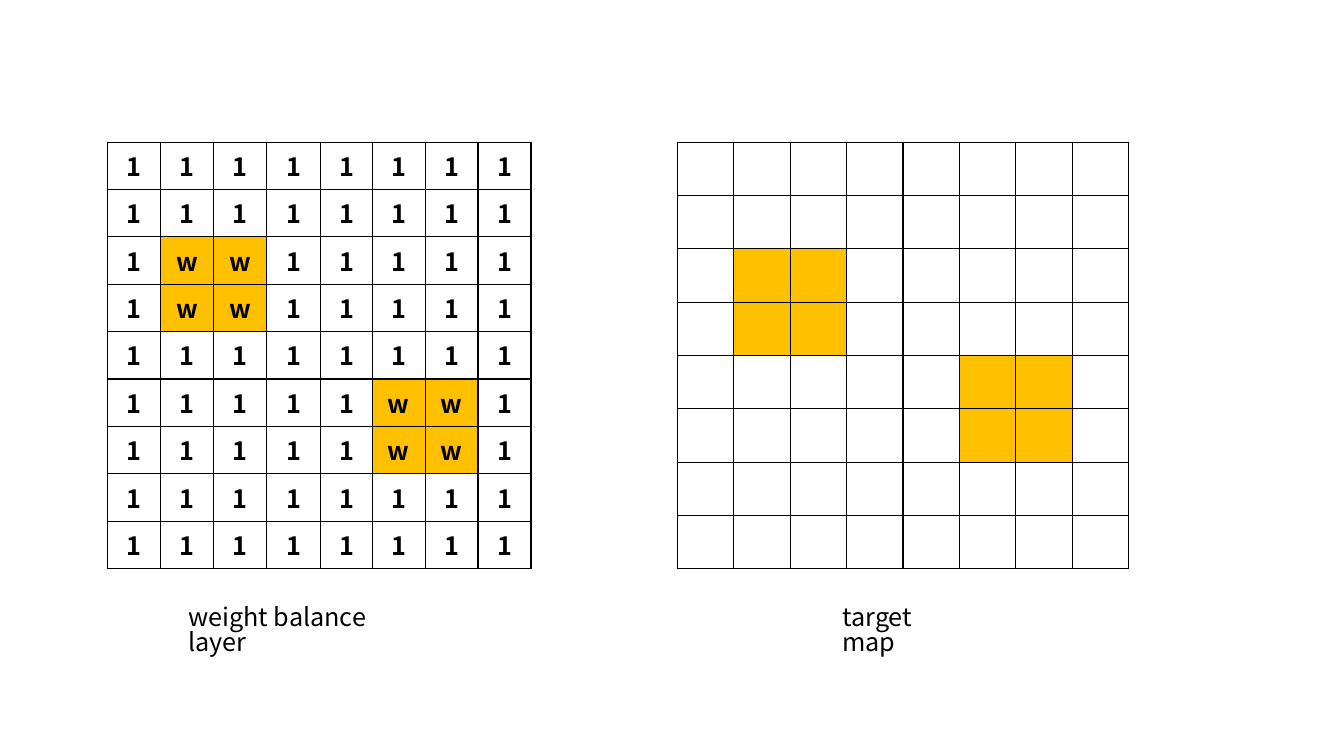
from lxml.etree import SubElement
from pptx import Presentation
from pptx.dml.color import RGBColor
from pptx.enum.text import MSO_AUTO_SIZE, PP_ALIGN
from pptx.oxml.ns import qn
from pptx.util import Pt

COLORS = {"ink": "000000", "target": "FFC000"}
FONT = "Noto Sans CJK SC"
BORDER_SIDES = ("a:lnL", "a:lnR", "a:lnT", "a:lnB")

weight_rows = [
    "11111111",
    "11111111",
    "1ww11111",
    "1ww11111",
    "11111111",
    "11111ww1",
    "11111ww1",
    "11111111",
    "11111111",
]
target_rows = [
    "........",
    "........",
    ".##.....",
    ".##.....",
    ".....##.",
    ".....##.",
    "........",
    "........",
]
maps = [
    {"rows": weight_rows, "left": 77, "widths": [37.8, 37.8, 37.8, 38.8, 36.8, 37.8, 37.8, 37.8],
     "caption": "weight balance layer", "caption_left": 127.44, "caption_width": 174.24},
    {"rows": target_rows, "left": 483.8, "widths": [40.32] * 8,
     "caption": "target map", "caption_left": 594.72, "caption_width": 100.8},
]
MAP_TOP, MAP_HEIGHT = 101.5, 304.8
CAPTION_TOP, CAPTION_HEIGHT = 429.84, 28.8


def write_text(frame, text, bold=False, align=PP_ALIGN.LEFT, spacing=None):
    paragraph = frame.paragraphs[0]
    paragraph.alignment = align
    paragraph.line_spacing = spacing
    run = paragraph.add_run()
    run.text = text
    run.font.name = FONT
    run.font.size = Pt(18)
    run.font.bold = bold
    run.font.color.rgb = RGBColor.from_string(COLORS["ink"])
    east_asian = SubElement(run.font._element, qn("a:ea"))
    east_asian.set("typeface", FONT)


def draw_borders(cell):
    properties = cell._tc.get_or_add_tcPr()
    for side in BORDER_SIDES:
        line = SubElement(properties, qn(side), w=str(Pt(1)))
        fill = SubElement(line, qn("a:solidFill"))
        SubElement(fill, qn("a:srgbClr"), val=COLORS["ink"])


def draw_map(slide, rows, left, widths):
    grid = slide.shapes.add_table(
        len(rows), len(widths), Pt(left), Pt(MAP_TOP), Pt(sum(widths)), Pt(MAP_HEIGHT)
    ).table
    grid.first_row = False
    grid.horz_banding = False
    for column, width in zip(grid.columns, widths):
        column.width = Pt(width)
    for row_index, marks in enumerate(rows):
        grid.rows[row_index].height = Pt(MAP_HEIGHT / len(rows))
        for column_index, mark in enumerate(marks):
            cell = grid.cell(row_index, column_index)
            draw_borders(cell)
            if mark in "w#":
                cell.fill.solid()
                cell.fill.fore_color.rgb = RGBColor.from_string(COLORS["target"])
            else:
                cell.fill.background()
            if mark in "1w":
                write_text(cell.text_frame, mark, bold=True, align=PP_ALIGN.CENTER)


def draw_caption(slide, text, left, width):
    frame = slide.shapes.add_textbox(
        Pt(left), Pt(CAPTION_TOP), Pt(width), Pt(CAPTION_HEIGHT)
    ).text_frame
    frame.word_wrap = True
    frame.auto_size = MSO_AUTO_SIZE.SHAPE_TO_FIT_TEXT
    write_text(frame, text, spacing=0.82)


def main():
    deck = Presentation()
    deck.slide_width, deck.slide_height = Pt(960), Pt(540)
    slide = deck.slides.add_slide(deck.slide_layouts[6])
    for item in maps:
        draw_map(slide, item["rows"], item["left"], item["widths"])
    for item in maps:
        draw_caption(slide, item["caption"], item["caption_left"], item["caption_width"])
    deck.save("out.pptx")


if __name__ == "__main__":
    main()
